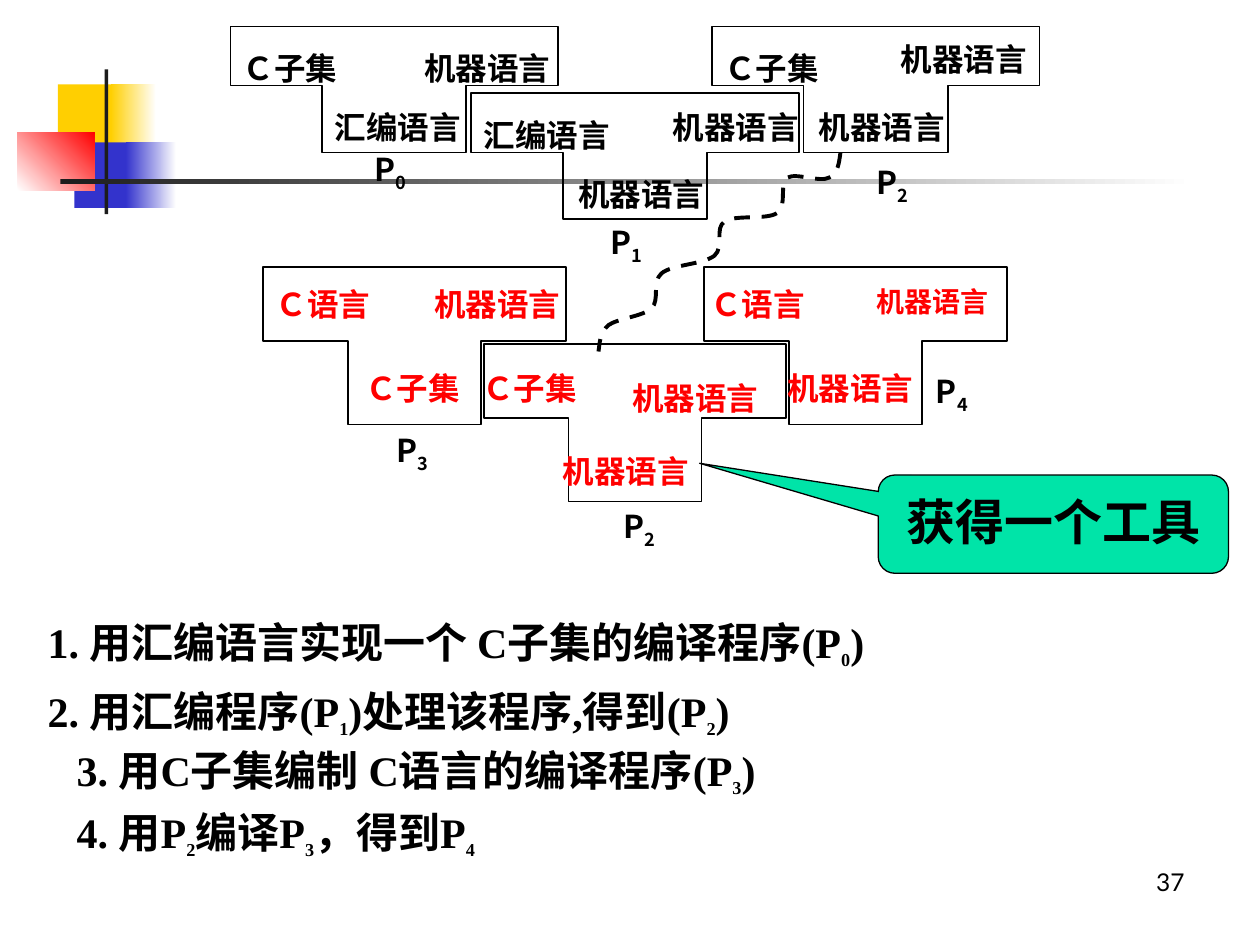
import pptx
import pptx.dml.color
import pptx.enum.dml
import pptx.enum.shapes
import pptx.enum.text
import pptx.oxml
import pptx.oxml.ns
import pptx.util

SHAPES = pptx.enum.shapes.MSO_SHAPE
ALIGN = pptx.enum.text.PP_ALIGN
AUTO_SIZE = pptx.enum.text.MSO_AUTO_SIZE
SERIF, SANS, NUMBER_FONT = "Times New Roman", "Noto Sans CJK SC", "Lato"
BLACK, RED, WHITE = "000000", "FF0000", "FFFFFF"
YELLOW, BLUE, DARK, GREEN = "FFCF01", "3333CC", "1C1C1C", "00E4A8"


def grid(units):
    """The slide is 100 columns by 75 rows of square cells."""
    return pptx.util.Inches(units / 10)


def color(hex_string):
    return pptx.dml.color.RGBColor.from_string(hex_string)


class SlideBuilder:
    SUBSCRIPT_SIZE = 18

    def __init__(self, slide):
        self.slide = slide

    def fill_text(self, frame, text, size, font=SERIF, ink=BLACK, bold=True,
                  align=ALIGN.LEFT, spacing=None, before=None):
        """Fill a frame; the character after each underscore is a subscript."""
        paragraph = frame.paragraphs[0]
        paragraph.alignment = align
        paragraph.line_spacing = spacing
        if before:
            paragraph.space_before = pptx.util.Pt(before)
        paragraph.font.name = font
        paragraph.font.size = pptx.util.Pt(size)
        paragraph.font.bold = bold
        paragraph.font.color.rgb = color(ink)
        first, *rest = text.split("_")
        paragraph.add_run().text = first
        for piece in rest:
            subscript = paragraph.add_run()
            subscript.text = piece[0]
            subscript.font.size = pptx.util.Pt(self.SUBSCRIPT_SIZE)
            subscript.font._element.set("baseline", "-25000")
            if piece[1:]:
                paragraph.add_run().text = piece[1:]

    def text(self, left, top, width, height, text, size, wrap=True, **style):
        box = self.slide.shapes.add_textbox(*map(grid, (left, top, width, height)))
        box.text_frame.word_wrap = wrap
        box.text_frame.auto_size = AUTO_SIZE.SHAPE_TO_FIT_TEXT
        self.fill_text(box.text_frame, text, size, **style)

    def program_name(self, left, top, width, text):
        self.text(left, top, width, 4.8, text, 18, font=SANS, spacing=1.1, before=11.2)

    def block(self, left, top, width, height, start, end=None, angle=0):
        """A borderless rectangle, solid or fading from start to end."""
        shape = self.slide.shapes.add_shape(
            SHAPES.RECTANGLE, *map(grid, (left, top, width, height)))
        shape.shadow.inherit = False
        shape.line.fill.background()
        if end is None:
            shape.fill.solid()
            shape.fill.fore_color.rgb = color(start)
            return
        shape.fill.gradient()
        shape.fill.gradient_angle = angle
        for stop, shade in zip(shape.fill.gradient_stops, (start, end)):
            stop.color.rgb = color(shade)

    def outline(self, points, weight, close):
        (start_x, start_y), *others = [(grid(x), grid(y)) for x, y in points]
        builder = self.slide.shapes.build_freeform(start_x, start_y)
        builder.add_line_segments(others, close=close)
        shape = builder.convert_to_shape()
        shape.shadow.inherit = False
        shape.fill.background()
        shape.line.color.rgb = color(BLACK)
        shape.line.width = pptx.util.Pt(weight)
        return shape

    def t_diagram(self, left, top, width, height, ink, labels):
        """A T outline; labels are (column, row, width, text, size)."""
        stem_left, stem_right = left + 0.28 * width, left + 0.72 * width
        right, shoulder, bottom = left + width, top + 0.47 * height, top + height
        self.outline([(left, top), (left, shoulder), (stem_left, shoulder),
                      (stem_left, bottom), (stem_right, bottom),
                      (stem_right, shoulder), (right, shoulder), (right, top)], 1, True)
        for column, row, label_width, text, size in labels:
            self.text(column, row, label_width, 4, text, size, ink=ink)

    def dashed_curve(self, points):
        """Draw the points as Bezier segments, three points to a segment."""
        shape = self.outline(points, 2.25, False)
        shape.line.dash_style = pptx.enum.dml.MSO_LINE.DASH
        outline_path = shape._element.find(".//" + pptx.oxml.ns.qn("a:path"))
        lines = outline_path.findall(pptx.oxml.ns.qn("a:lnTo"))
        for index in range(0, len(lines), 3):
            curve = pptx.oxml.parse_xml(
                "<a:cubicBezTo %s/>" % pptx.oxml.ns.nsdecls("a"))
            for line in lines[index:index + 3]:
                curve.append(line[0])
                outline_path.remove(line)
            outline_path.append(curve)

    def callout(self, left, top, width, height, text, adjustments):
        shape = self.slide.shapes.add_shape(
            SHAPES.ROUNDED_RECTANGULAR_CALLOUT, *map(grid, (left, top, width, height)))
        shape.shadow.inherit = False
        for index, value in enumerate(adjustments):
            shape.adjustments[index] = value
        shape.fill.solid()
        shape.fill.fore_color.rgb = color(GREEN)
        shape.line.color.rgb = color(BLACK)
        shape.line.width = pptx.util.Pt(0.75)
        shape.text_frame.word_wrap = True
        shape.text_frame.vertical_anchor = pptx.enum.text.MSO_ANCHOR.TOP
        self.fill_text(shape.text_frame, text, 28, font=SANS, align=ALIGN.CENTER,
                       spacing=1.1, before=7)


def main():
    presentation = pptx.Presentation()
    presentation.slide_width, presentation.slide_height = grid(100), grid(75)
    builder = SlideBuilder(presentation.slides.add_slide(presentation.slide_layouts[6]))

    # Corner ornament and title rule
    builder.block(4.6, 6.7, 4.8, 5.2, YELLOW)
    builder.block(8.8, 6.7, 3.6, 5.2, YELLOW, WHITE)
    builder.block(5.9, 11.3, 4.6, 5.2, BLUE)
    builder.block(10, 11.3, 4, 5.2, BLUE, WHITE)
    builder.block(1.4, 10.5, 6.1, 4.6, WHITE, RED, 45)
    builder.block(8.3, 5.5, 0.3, 11.5, DARK)
    builder.block(4.8, 14.2, 90, 0.4, DARK, WHITE)

    # T-diagrams: black row builds P2, red row uses it
    machine, assembly = "机器语言", "汇编语言"
    subset, full = "Ｃ子集", "Ｃ语言"
    black_row = [
        (18.3, 2.1, [(18.3, 3.4, 9.6, subset, 18), (25.6, 8.1, 12.3, assembly, 18),
                     (32.7, 3.4, 12.6, machine, 18)]),
        (37.4, 7.4, [(37.4, 8.7, 12.6, assembly, 18), (44.9, 13.4, 12.2, machine, 18),
                     (52.4, 8.1, 12.7, machine, 18)]),
        (56.5, 2.1, [(56.5, 3.4, 10.1, subset, 18), (64, 8.1, 12.8, machine, 18),
                     (70.5, 2.7, 13.1, machine, 18)]),
    ]
    red_row = [
        (20.9, 21.2, [(20.9, 22.1, 10.2, full, 18), (28, 28.8, 10.2, subset, 18),
                      (33.5, 22.1, 12.6, machine, 18)]),
        (38.4, 27.3, [(37.3, 28.8, 10.3, subset, 18), (43.7, 35.4, 12.6, machine, 18),
                      (49.2, 29.6, 13.5, machine, 18)]),
        (55.9, 21.2, [(55.4, 22.1, 10.4, full, 18), (61.5, 28.8, 12.9, machine, 18),
                      (68.6, 22.1, 11.3, machine, 16)]),
    ]
    for row, width, height, ink in ((black_row, 26, 10, BLACK), (red_row, 24, 12.5, RED)):
        for left, top, labels in row:
            builder.t_diagram(left, top, width, height, ink, labels)

    # Program names
    for left, top, width, name in [
            (28.7, 11.1, 12.2, "P_0"), (47.5, 16.9, 9.8, "P_1"), (68.6, 12.1, 9.8, "P_2"),
            (30.5, 33.4, 8.5, "P_3"), (48.5, 39.4, 9.8, "P_2"), (73.3, 28.7, 8.5, "P_4")]:
        builder.program_name(left, top, width, name)

    # Link from the upper P2 to the lower P2
    builder.dashed_curve([
        (66.7, 12.1), (66.6, 12.9), (66.5, 13.8), (65.8, 14.1),
        (65.1, 14.5), (63.2, 13.7), (62.5, 14.1), (61.8, 14.6), (62.5, 16.3), (61.7, 16.9),
        (60.8, 17.5), (58.3, 17), (57.5, 17.6), (56.7, 18.1), (57.5, 19.6), (56.7, 20.3),
        (55.8, 21), (53.3, 21), (52.5, 21.7), (51.7, 22.4), (52.4, 23.8), (51.7, 24.5),
        (51, 25.1), (49, 25.3), (48.3, 25.8), (47.6, 26.4), (47.6, 27.2), (47.5, 27.9)])
    builder.callout(69.7, 37.7, 27.8, 7.8, "获得一个工具", (-1.01, -0.62, 0.17))

    # Steps
    builder.text(2.8, 47.6, 70.9, 6.1, "1. 用汇编语言实现一个 C子集的编译程序(P_0)", 24,
                 wrap=False, spacing=1.2)
    builder.text(2.8, 53.1, 60.9, 6.1, "2. 用汇编程序(P_1)处理该程序,得到(P_2)", 24,
                 wrap=False, spacing=1.2)
    builder.text(5.1, 58.2, 65.9, 5.7, "3. 用C子集编制 C语言的编译程序(P_3)", 24,
                 spacing=1.1, before=6)
    builder.text(5.1, 62.7, 85.9, 6.1, "4. 用P_2编译P_3，得到P_4", 24, spacing=1.2)

    # Slide number
    builder.text(71.7, 68.3, 23.3, 5.2, "37", 14, font=NUMBER_FONT, bold=False,
                 align=ALIGN.RIGHT)
    presentation.save("out.pptx")


if __name__ == "__main__":
    main()
